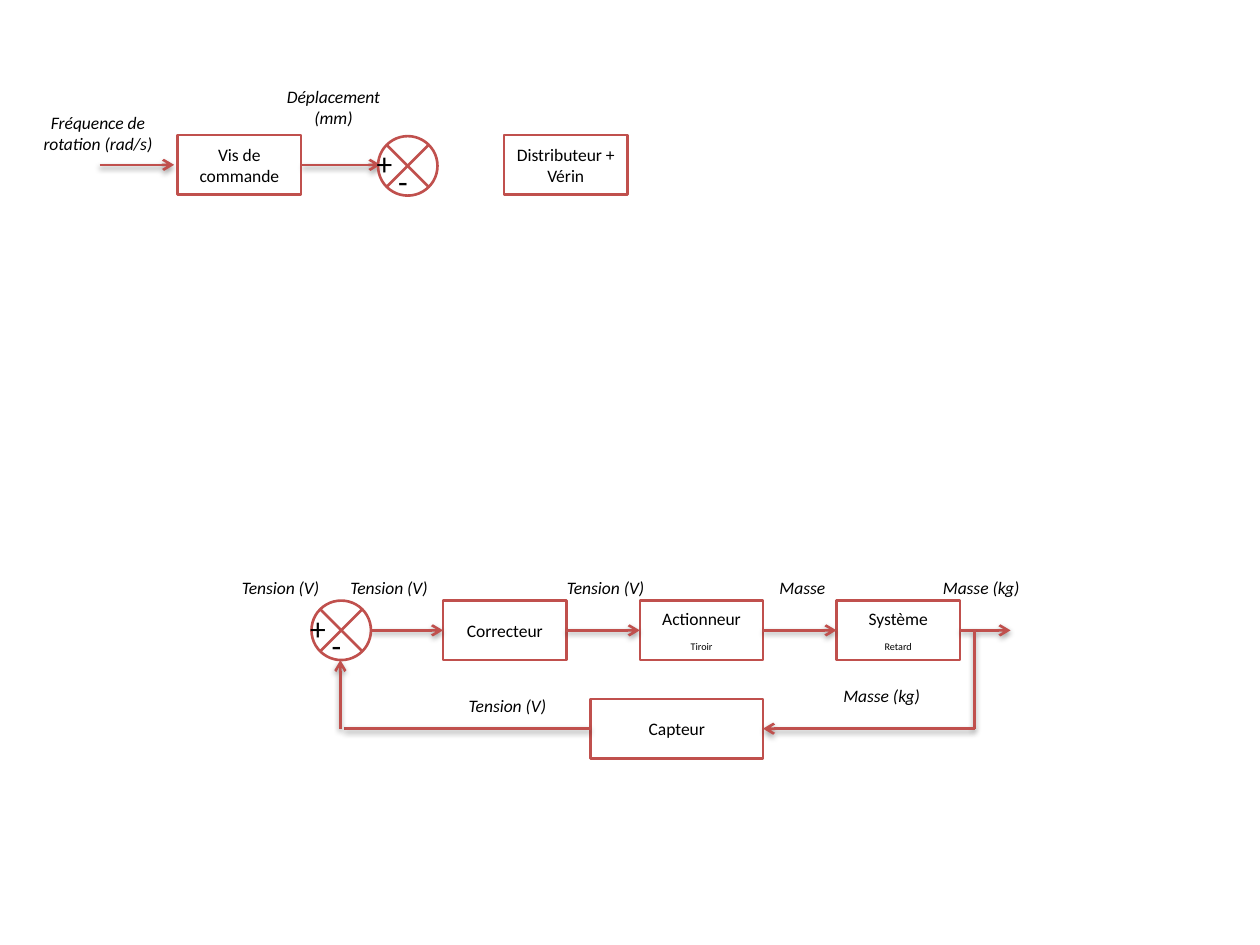
from lxml.etree import SubElement
from pptx import Presentation
from pptx.dml.color import RGBColor
from pptx.enum.shapes import MSO_CONNECTOR, MSO_SHAPE
from pptx.enum.text import MSO_ANCHOR, PP_ALIGN
from pptx.oxml.ns import qn
from pptx.util import Pt

COLORS = {"line": "C0504D", "text": "000000", "shadow": "000000"}
BLOCK_W, BLOCK_H, LABEL_W = 70.5, 34, 84.5


class Diagram:
    """Draws control-loop elements on one slide, with lengths in points."""

    font_name = "Calibri"
    text_size = 10
    sign_size = 18
    line_width = 1.5

    def __init__(self, slide):
        self.slide = slide

    def format_text(self, paragraph, size, italic=False, align=PP_ALIGN.CENTER):
        paragraph.alignment = align
        font = paragraph.font
        font.name, font.size, font.italic = self.font_name, Pt(size), italic
        font.color.rgb = RGBColor.from_string(COLORS["text"])

    def outline(self, line):
        line.color.rgb = RGBColor.from_string(COLORS["line"])
        line.width = Pt(self.line_width)

    def outlined_shape(self, shapes, kind, left, axis, width):
        shape = shapes.add_shape(kind, Pt(left), Pt(axis - BLOCK_H / 2), Pt(width), Pt(BLOCK_H))
        shape.shadow.inherit = False
        shape.fill.background()
        self.outline(shape.line)
        return shape

    def block(self, name, left, axis, detail=None, width=BLOCK_W):
        frame = self.outlined_shape(
            self.slide.shapes, MSO_SHAPE.RECTANGLE, left, axis, width).text_frame
        frame.word_wrap = True
        frame.vertical_anchor = MSO_ANCHOR.MIDDLE
        frame.margin_left = frame.margin_right = Pt(3.6)
        frame.text = "\n".join([name, detail] if detail else [name])
        for paragraph in frame.paragraphs:
            self.format_text(paragraph, self.text_size)
        if detail:
            run = frame.paragraphs[1].runs[0]
            run._r.get_or_add_rPr().set("baseline", "-25000")

    def label(self, text, left, top, height=19.5):
        box = self.slide.shapes.add_textbox(Pt(left), Pt(top), Pt(LABEL_W), Pt(height))
        box.text_frame.word_wrap = True
        box.text_frame.text = text
        self.format_text(box.text_frame.paragraphs[0], self.text_size, italic=True)

    def junction(self, left, axis):
        shapes = self.slide.shapes.add_group_shape().shapes
        self.outlined_shape(shapes, MSO_SHAPE.FLOWCHART_SUMMING_JUNCTION, left, axis, BLOCK_H)
        top = axis - BLOCK_H / 2
        for sign, dx, dy in (("-", 11.5, 11), ("+", -0.7, 1)):
            box = shapes.add_textbox(Pt(left + dx), Pt(top + dy), Pt(6), Pt(29))
            frame = box.text_frame
            frame.word_wrap = True
            frame.margin_left = frame.margin_right = 0
            frame.text = sign
            self.format_text(frame.paragraphs[0], self.sign_size, align=PP_ALIGN.LEFT)

    def link(self, start, end, arrow=True):
        connector = self.slide.shapes.add_connector(
            MSO_CONNECTOR.STRAIGHT, *(Pt(v) for v in (*start, *end)))
        self.outline(connector.line)
        properties = connector._element.spPr
        if arrow:
            SubElement(properties.find(qn("a:ln")), qn("a:tailEnd"), type="arrow")
        effects = SubElement(properties, qn("a:effectLst"))
        shadow = SubElement(effects, qn("a:outerShdw"), blurRad="40000", dist="20000",
                            dir="5400000", rotWithShape="0")
        color = SubElement(shadow, qn("a:srgbClr"), val=COLORS["shadow"])
        SubElement(color, qn("a:alpha"), val="38000")


def main():
    deck = Presentation()
    deck.slide_width, deck.slide_height = Pt(720), Pt(540)
    diagram = Diagram(deck.slides.add_slide(deck.slide_layouts[6]))

    command_axis = 94.2
    diagram.label("Fréquence de rotation (rad/s)", 13.7, 60.5, 31.5)
    diagram.label("Déplacement (mm)", 148.3, 45.4, 31.5)
    for start, end in ((57, 99.5), (172.5, 217.5)):
        diagram.link((start, command_axis), (end, command_axis))
    diagram.block("Vis de commande", 101.5, command_axis)
    diagram.block("Distributeur + Vérin", 288, command_axis)
    diagram.junction(216, command_axis + 0.6)

    loop_axis, feedback_axis = 360.2, 416.4
    first_block, pitch, junction_left = 253.2, 112.4, 178
    stages = (("Correcteur", None), ("Actionneur", "Tiroir"), ("Système", "Retard"))
    exits = [junction_left + BLOCK_H]
    for index, (name, detail) in enumerate(stages):
        left = first_block + index * pitch
        diagram.block(name, left, loop_axis, detail)
        diagram.link((exits[-1], loop_axis), (left, loop_axis))
        exits.append(left + BLOCK_W)
    diagram.link((exits[-1], loop_axis), (577.5, loop_axis))
    diagram.junction(junction_left, loop_axis)

    sensor_left, sensor_width, branch = 337.5, 98.5, 557
    diagram.block("Capteur", sensor_left, feedback_axis, width=sensor_width)
    diagram.link((branch, loop_axis), (branch, feedback_axis), arrow=False)
    diagram.link((branch, feedback_axis), (sensor_left + sensor_width, feedback_axis))
    diagram.link((196.5, feedback_axis), (sensor_left, feedback_axis), arrow=False)
    return_x = junction_left + BLOCK_H / 2 - 0.5
    diagram.link((return_x, feedback_axis), (return_x, loop_axis + BLOCK_H / 2))

    for text, left in (("Tension (V)", 118), ("Tension (V)", 180), ("Tension (V)", 303.8),
                       ("Masse", 416.2), ("Masse (kg)", 518.4)):
        diagram.label(text, left, 326.4)
    diagram.label("Tension (V)", 247.7, 393.8)
    diagram.label("Masse (kg)", 461.5, 388)

    deck.save("out.pptx")


if __name__ == "__main__":
    main()
